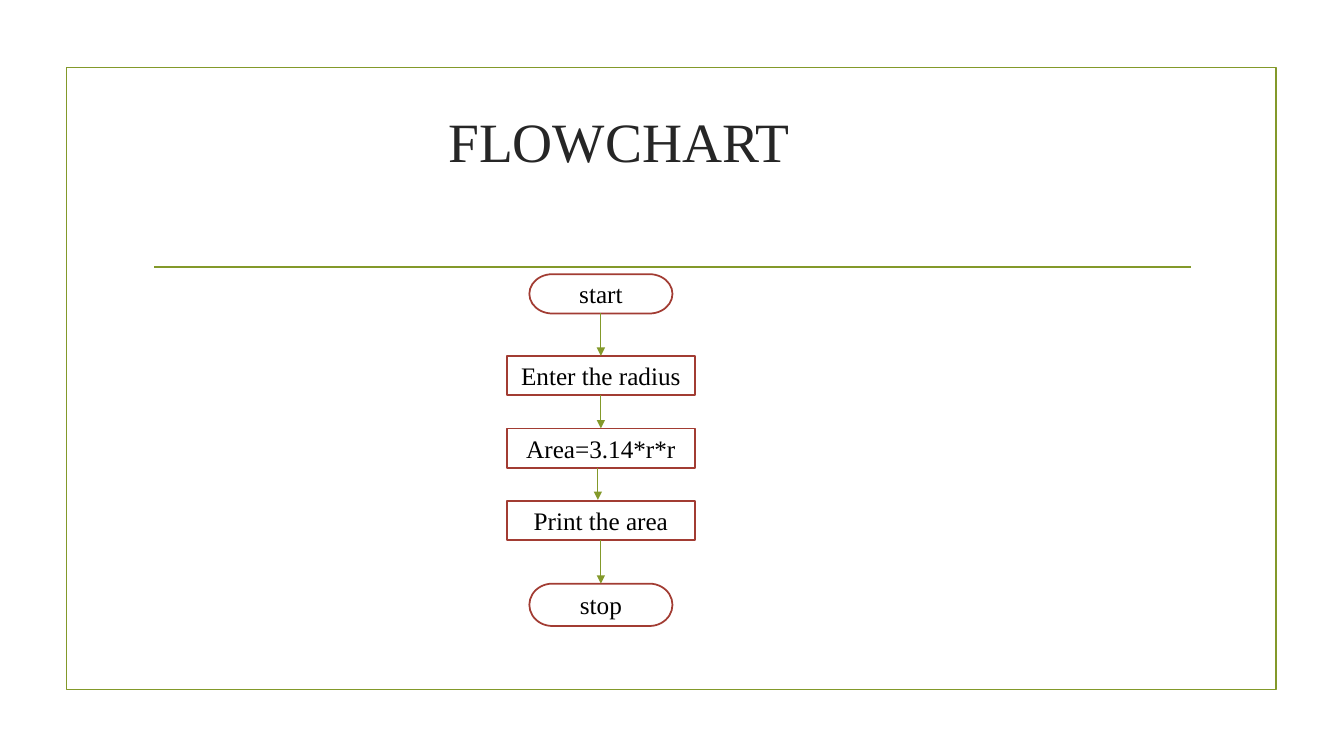
from itertools import pairwise

from lxml.etree import SubElement
from pptx import Presentation
from pptx.dml.color import RGBColor
from pptx.enum.shapes import MSO_CONNECTOR as Connector, MSO_SHAPE as Shape
from pptx.enum.text import MSO_ANCHOR as Anchor, MSO_AUTO_SIZE as AutoSize, PP_ALIGN as Align
from pptx.oxml.ns import qn
from pptx.util import Emu, Pt

GREEN = RGBColor(0x83, 0x99, 0x2A)
RED = RGBColor(0xA2, 0x3C, 0x33)
WHITE = RGBColor(0xFF, 0xFF, 0xFF)
BLACK = RGBColor(0x00, 0x00, 0x00)
DARK_GREY = RGBColor(0x26, 0x26, 0x26)

CENTRE = 596
TOP, BOTTOM = 0, 2


def px(length):
    """Convert px (100 to the inch) to EMU."""
    return Emu(length * 9144)


class FlowchartSlide:
    font_name = "Times New Roman"
    outline = Pt(1.25)
    arrow_width = Pt(0.75)

    def __init__(self, deck):
        self.slide = deck.slides.add_slide(deck.slide_layouts[5])
        self.shapes = self.slide.shapes

    def label(self, holder, text, size, color):
        """Fill a shape or placeholder with one centred paragraph."""
        frame = holder.text_frame
        frame.text = text
        frame.word_wrap = True
        frame.auto_size = AutoSize.NONE
        frame.vertical_anchor = Anchor.MIDDLE
        paragraph = frame.paragraphs[0]
        paragraph.alignment = Align.CENTER
        paragraph.font.name = self.font_name
        paragraph.font.size = Pt(size)
        paragraph.font.color.rgb = color

    def title(self, text, left, top, width, height):
        heading = self.shapes.title
        heading.left, heading.top = px(left), px(top)
        heading.width, heading.height = px(width), px(height)
        self.label(heading, text, 39.6, DARK_GREY)

    def box(self, kind, left, top, width, height, color):
        """Add an unfilled outlined shape."""
        shape = self.shapes.add_shape(kind, px(left), px(top), px(width), px(height))
        shape.shadow.inherit = False
        shape.fill.background()
        shape.line.color.rgb = color
        shape.line.width = self.outline
        return shape

    def step(self, kind, text, top, width, height):
        """Add a flowchart step centred on the flow."""
        shape = self.box(kind, CENTRE - width // 2, top, width, height, RED)
        shape.fill.solid()
        shape.fill.fore_color.rgb = WHITE
        self.label(shape, text, 18, BLACK)
        return shape

    def line(self, x1, y1, x2, y2, width):
        rule = self.shapes.add_connector(Connector.STRAIGHT, px(x1), px(y1), px(x2), px(y2))
        rule.line.color.rgb = GREEN
        rule.line.width = width
        SubElement(rule._element.spPr, qn("a:effectLst"))
        return rule

    def arrow(self, x, top, bottom):
        arrow = self.line(x, top, x, bottom, self.arrow_width)
        outline = arrow._element.spPr.find(qn("a:ln"))
        SubElement(outline, qn("a:tailEnd"), type="triangle")
        return arrow

    def join(self, upper, lower):
        arrow = self.arrow(CENTRE, 0, 0)
        arrow.begin_connect(upper, BOTTOM)
        arrow.end_connect(lower, TOP)


def main():
    deck = Presentation()
    deck.slide_width, deck.slide_height = px(1333), px(750)
    page = FlowchartSlide(deck)

    page.box(Shape.RECTANGLE, 66, 67, 1200, 617, GREEN)
    page.line(153, 265, 1181, 265, page.outline)
    page.title("FLOWCHART", 89, 108, 1050, 63)

    terminator, process = Shape.FLOWCHART_TERMINATOR, Shape.FLOWCHART_PROCESS
    start = page.step(terminator, "start", 272, 142, 39)
    radius, area, output = [
        page.step(process, text, 353 + 72 * row, 186, 39)
        for row, text in enumerate(["Enter the radius", "Area=3.14*r*r", "Print the area"])
    ]
    stop = page.step(terminator, "stop", 579, 142, 42)

    for upper, lower in [*pairwise([start, radius, area]), (output, stop)]:
        page.join(upper, lower)
    page.arrow(593, 464, 496)  # runs just left of the centre line

    deck.save("out.pptx")


if __name__ == "__main__":
    main()
